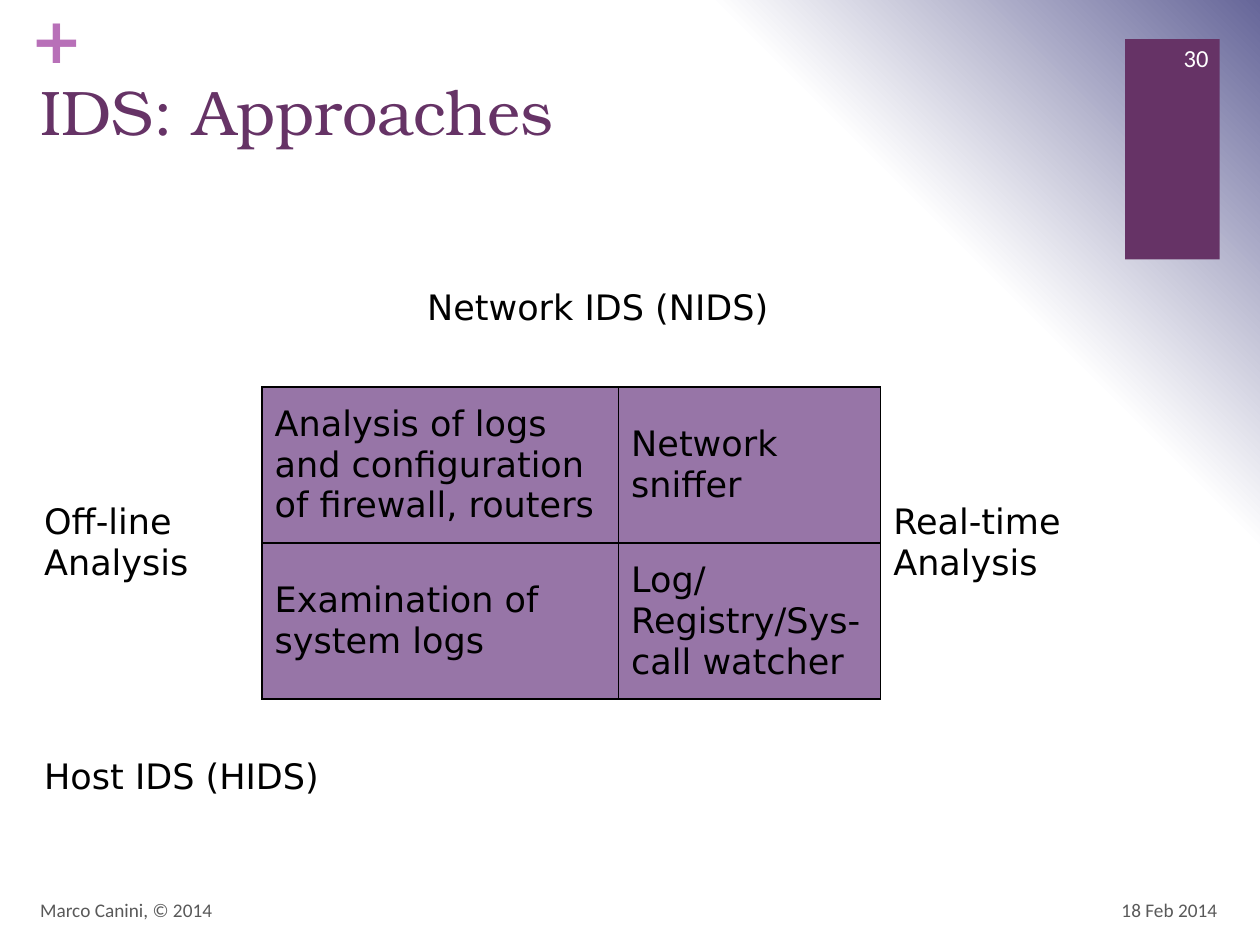
"""Build the slide on approaches to intrusion detection."""
from pptx import Presentation
from pptx.dml.color import RGBColor
from pptx.enum.shapes import MSO_SHAPE as Shape
from pptx.enum.text import MSO_ANCHOR as Anchor, PP_ALIGN as Align
from pptx.oxml import parse_xml
from pptx.oxml.ns import nsdecls
from pptx.util import Inches, Pt


def rgb(value):
    return RGBColor.from_string(value)


def write(frame, text, size=20, font="DejaVu Sans", color="000000",
          bold=False, align=Align.LEFT, anchor=Anchor.MIDDLE):
    frame.word_wrap = True
    frame.vertical_anchor = anchor
    paragraph = frame.paragraphs[0]
    paragraph.alignment = align
    run = paragraph.add_run()
    run.text = text
    run.font.size = Pt(size)
    run.font.name = font
    run.font.bold = bold
    run.font.color.rgb = rgb(color)


deck = Presentation()
deck.slide_width, deck.slide_height = Inches(10), Inches(7.5)
slide = deck.slides.add_slide(deck.slide_layouts[6])

stops = "".join(
    f'<a:gs pos="{position * 1000}"><a:srgbClr val="{color}"/></a:gs>'
    for position, color in [(0, "FFFFFF"), (75, "FFFFFF"), (100, "666699")])
slide.element.cSld.insert(0, parse_xml(
    f'<p:bg {nsdecls("p", "a")}><p:bgPr><a:gradFill rotWithShape="1">'
    f'<a:gsLst>{stops}</a:gsLst><a:path path="circle">'
    '<a:fillToRect t="100000" r="100000"/></a:path></a:gradFill>'
    '<a:effectLst/></p:bgPr></p:bg>'))

banner = slide.shapes.add_shape(
    Shape.RECTANGLE, Inches(8.93), Inches(0.31), Inches(0.75), Inches(1.75))
banner.shadow.inherit = False
banner.fill.solid()
banner.fill.fore_color.rgb = rgb("663366")
banner.line.fill.background()

plus = slide.shapes.add_textbox(
    Inches(0.24), Inches(0), Inches(0.29), Inches(0.61)).text_frame
plus.margin_left = plus.margin_right = plus.margin_top = plus.margin_bottom = 0
write(plus, "+", size=36, color="B870B8", bold=True, anchor=Anchor.TOP)

footer = {"size": 11, "font": "Calibri", "color": "595959"}
labels = [
    ("IDS: Approaches", 0.22, 0.53, 8.59, 1.22,
     {"size": 36, "font": "TeX Gyre Bonum", "color": "663366", "anchor": Anchor.TOP}),
    ("18 Feb 2014", 7.43, 7.02, 2.33, 0.4, {**footer, "align": Align.RIGHT}),
    ("Marco Canini, © 2014", 0.22, 7.02, 6.7, 0.4, footer),
    ("30", 9.08, 0.26, 0.61, 0.4,
     {"size": 14, "font": "Calibri", "color": "FFFFFF", "align": Align.RIGHT}),
]
for text, left, top, width, height, style in labels:
    label = slide.shapes.add_textbox(
        Inches(left), Inches(top), Inches(width), Inches(height))
    write(label.text_frame, text, **style)

grid_frame = slide.shapes.add_table(
    4, 4, Inches(0.25), Inches(1.83), Inches(9), Inches(4.95))
grid = grid_frame.table
grid.first_row = grid.horz_banding = False
grid._tbl.tblPr.find(
    "{*}tableStyleId").text = "{2D5ABB26-0587-4C30-8999-92F81FD0307C}"
for column, width in zip(grid.columns, [1.83, 2.83, 2.08, 2.25]):
    column.width = Inches(width)
for row in grid.rows:
    row.height = Inches(1.24)

for first, last in [((0, 0), (0, 3)), ((1, 0), (2, 0)),
                    ((1, 3), (2, 3)), ((3, 0), (3, 3))]:
    grid.cell(*first).merge(grid.cell(*last))

approaches = {
    (0, 0): "Network IDS (NIDS)",
    (1, 0): "Off-line Analysis",
    (1, 1): "Analysis of logs and configuration of firewall, routers",
    (1, 2): "Network sniffer",
    (1, 3): "Real-time Analysis",
    (2, 1): "Examination of system logs",
    (2, 2): "Log/Registry/Sys-call watcher",
    (3, 0): "Host IDS (HIDS)",
}
for (row, column), text in approaches.items():
    cell = grid.cell(row, column)
    write(cell.text_frame, text, align=Align.CENTER if row == 0 else Align.LEFT)
    cell.vertical_anchor = Anchor.MIDDLE
    if row in (1, 2) and column in (1, 2):
        cell.fill.solid()
        cell.fill.fore_color.rgb = rgb("9775A7")
        sides = "LRTB" if row == 1 else "LRT"
        for index, side in enumerate(sides):
            cell._tc.get_or_add_tcPr().insert(index, parse_xml(
                f'<a:ln{side} {nsdecls("a")} w="12700"><a:solidFill>'
                f'<a:srgbClr val="000000"/></a:solidFill></a:ln{side}>'))
    else:
        cell.fill.background()

deck.save("out.pptx")
